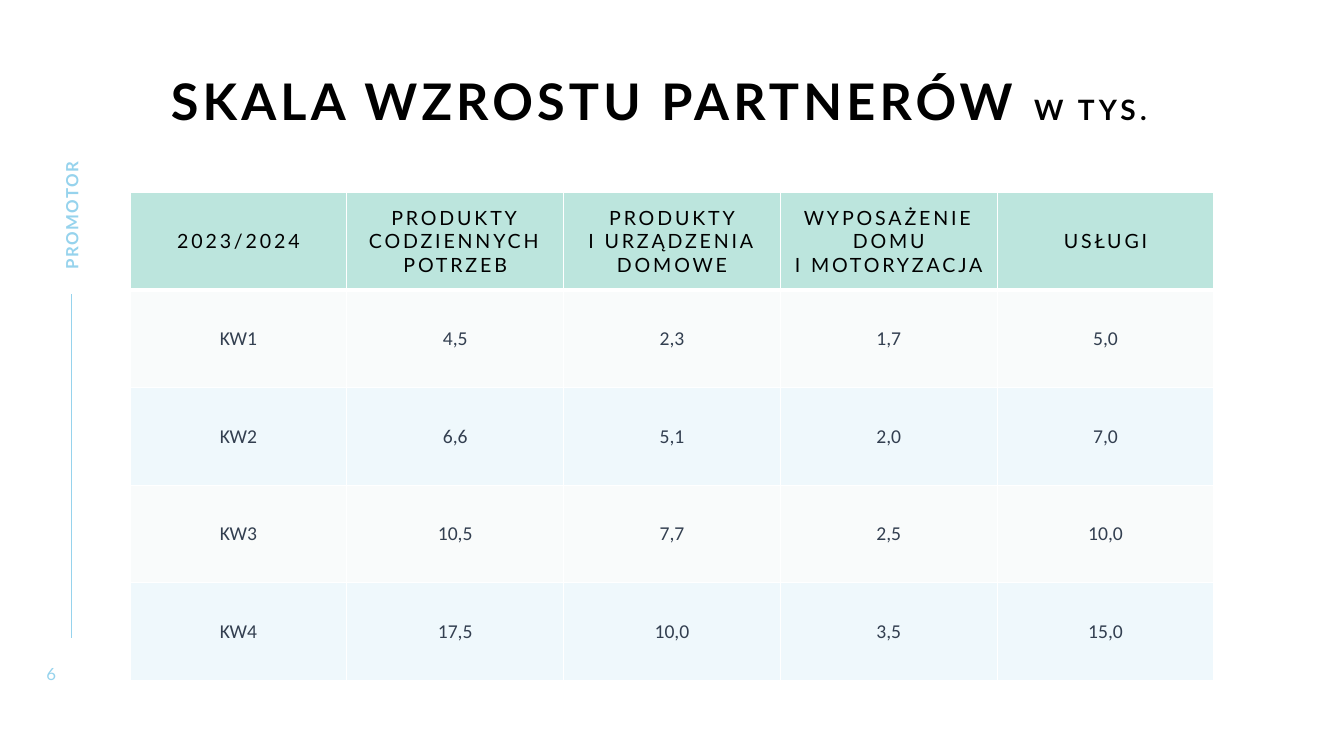
from lxml import etree
from pptx import Presentation
from pptx.dml.color import RGBColor
from pptx.enum import shapes, text
from pptx.oxml.ns import qn
from pptx.util import Inches, Pt

SKY, MIST, MINT, SLATE = "96D3ED", "C7DBE1", "BCE5DD", "333F50"
BLACK, WHITE = "000000", "FFFFFF"

HEADINGS = [
    "2023/2024",
    "PRODUKTY CODZIENNYCH POTRZEB",
    "PRODUKTY\nI URZĄDZENIA DOMOWE",
    "WYPOSAŻENIE DOMU\nI MOTORYZACJA",
    "USŁUGI",
]
QUARTERS = [
    ["KW1", "4,5", "2,3", "1,7", "5,0"],
    ["KW2", "6,6", "5,1", "2,0", "7,0"],
    ["KW3", "10,5", "7,7", "2,5", "10,0"],
    ["KW4", "17,5", "10,0", "3,5", "15,0"],
]


def rgb(value):
    return RGBColor.from_string(value)


def style_font(font, size, color, name="Lato", bold=False, spacing=0):
    """Style a paragraph or run font; spacing is between letters, in points."""
    font.name, font.size, font.bold = name, Pt(size), bold
    font.color.rgb = rgb(color)
    font._rPr.set("spc", str(spacing * 100))


def add_frame(slide, left, top, width, height, anchor, rotation=0):
    box = slide.shapes.add_textbox(
        Inches(left), Inches(top), Inches(width), Inches(height))
    box.rotation = rotation
    frame = box.text_frame
    frame.word_wrap = True
    frame.margin_left = frame.margin_right = 0
    frame.margin_top = frame.margin_bottom = 0
    frame.vertical_anchor = anchor
    frame.paragraphs[0].alignment = text.PP_ALIGN.CENTER
    return frame


def add_title(slide, left, top, width, height):
    frame = add_frame(slide, left, top, width, height, text.MSO_ANCHOR.TOP)
    title = frame.paragraphs[0]
    title.line_spacing = 0.9
    for words, size in (("SKALA WZROSTU PARTNERÓW ", 36), ("W TYS.", 20), (" ", 44)):
        run = title.add_run()
        run.text = words
        style_font(run.font, size, BLACK, bold=True, spacing=3)


def add_sidebar(slide, left, top, width, height):
    """Vertical label, rule and page number, stacked on one axis."""
    axis = left + width / 2
    label_length, label_height = 1.95, 0.21
    label = add_frame(slide, axis - label_length / 2, top + 0.87, label_length,
                      label_height, text.MSO_ANCHOR.MIDDLE, rotation=270)
    label.text = "PROMOTOR"
    style_font(label.paragraphs[0].font, 12, SKY, bold=True, spacing=1)

    rule = slide.shapes.add_connector(
        shapes.MSO_CONNECTOR.STRAIGHT, Inches(axis), Inches(top + 2.2),
        Inches(axis), Inches(top + 5.61))
    rule.line.color.rgb = rgb(SKY)
    rule.line.width = Pt(1)
    etree.SubElement(rule._element.spPr, qn("a:effectLst"))

    number = add_frame(slide, left, top + height - 0.2, width, 0.2,
                       text.MSO_ANCHOR.MIDDLE)
    number.text = "6"
    style_font(number.paragraphs[0].font, 12, SKY, spacing=2)


def set_borders(cell, top, bottom):
    """White cell borders; top and bottom widths in points."""
    properties = cell._tc.get_or_add_tcPr()
    for side, width in (("L", 1), ("R", 1), ("T", top), ("B", bottom)):
        line = etree.SubElement(properties, qn(f"a:ln{side}"), w=str(Pt(width)))
        fill = etree.SubElement(line, qn("a:solidFill"))
        etree.SubElement(fill, qn("a:srgbClr"), val=WHITE)


def set_fill(cell, color, opacity):
    cell.fill.solid()
    cell.fill.fore_color.rgb = rgb(color)
    if opacity < 100:
        tint = cell._tc.tcPr.find(f"{qn('a:solidFill')}/{qn('a:srgbClr')}")
        etree.SubElement(tint, qn("a:alpha"), val=str(opacity * 1000))


def add_growth_table(slide, left, top, width, height):
    rows = [HEADINGS, *QUARTERS]
    table = slide.shapes.add_table(
        len(rows), len(HEADINGS), Inches(left), Inches(top),
        Inches(width), Inches(height)).table
    table.first_row = table.horz_banding = False
    for r, values in enumerate(rows):
        if r == 0:
            fill, font = (MINT, 100), dict(color=BLACK, spacing=2)
        else:
            fill = (MIST, 10) if r % 2 else (SKY, 15)
            font = dict(color=SLATE, name="Calibri")
        for c, value in enumerate(values):
            cell = table.cell(r, c)
            cell.text = value
            cell.vertical_anchor = text.MSO_ANCHOR.MIDDLE
            set_borders(cell, top=3 if r == 1 else 1, bottom=3 if r == 0 else 1)
            set_fill(cell, *fill)
            for paragraph in cell.text_frame.paragraphs:
                paragraph.alignment = text.PP_ALIGN.CENTER
                style_font(paragraph.font, 14, **font)


def main():
    deck = Presentation()
    deck.slide_width, deck.slide_height = Inches(13.33), Inches(7.5)
    slide = deck.slides.add_slide(deck.slide_layouts[6])
    add_sidebar(slide, 0.46, 0.72, 0.5, 6.06)
    add_title(slide, 0.81, 0.67, 11.64, 1)
    add_growth_table(slide, 1.29, 1.91, 10.75, 4.84)
    deck.save("out.pptx")


if __name__ == "__main__":
    main()
